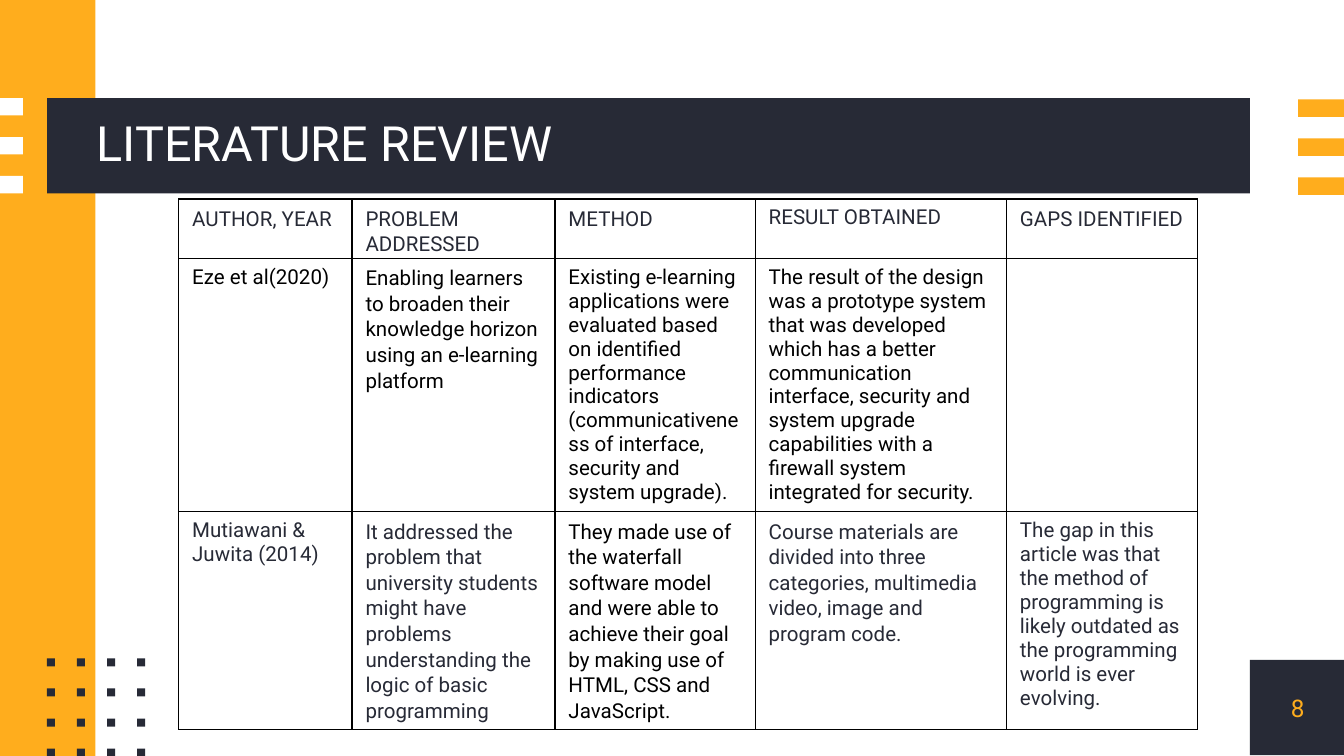
from itertools import product
from typing import NamedTuple

from lxml import etree
from pptx import Presentation
from pptx.dml.color import RGBColor
from pptx.enum import shapes, text
from pptx.oxml.ns import qn
from pptx.util import Inches, Pt

NAVY = RGBColor(0x27, 0x2A, 0x36)
AMBER = RGBColor(0xFF, 0xAD, 0x1D)
WHITE = RGBColor(0xFF, 0xFF, 0xFF)
BLACK = RGBColor(0x00, 0x00, 0x00)
FONT = "Roboto"


class Box(NamedTuple):
    left: float
    top: float
    width: float
    height: float

    def lengths(self) -> list[int]:
        return [Inches(value) for value in self]


class Entry(NamedTuple):
    """Content of one table cell."""
    content: str = ""
    color: RGBColor = NAVY
    spacing: float = 1.07


SLIDE_WIDTH = 10
SLIDE_HEIGHT = SLIDE_WIDTH * 9 / 16
TITLE_BAR = Box(0.35, 0.73, 8.95, 0.71)
NUMBER_BOX = Box(9.3, 4.91, 0.71, 0.71)
TABLE_BOX = Box(1.33, 1.48, 7.58, 4.06)
COLUMN_WIDTHS = [1.29, 1.51, 1.49, 1.87, 1.42]
ROW_HEIGHTS = [0.43, 1.74, 1.58]

ROWS = [
    [
        Entry("AUTHOR, YEAR"),
        Entry("PROBLEM ADDRESSED"),
        Entry("METHOD"),
        Entry("RESULT OBTAINED", spacing=1),
        Entry("GAPS IDENTIFIED"),
    ],
    [
        Entry("Eze et al(2020)", BLACK, 1),
        Entry("Enabling learners to broaden their knowledge horizon using an "
              "e-learning platform", BLACK),
        Entry("Existing e-learning applications were evaluated based on identified "
              "performance indicators (communicativeness of interface, security "
              "and system upgrade).", BLACK, 1),
        Entry("The result of the design was a prototype system that was developed "
              "which has a better communication interface, security and system "
              "upgrade capabilities with a firewall system integrated for security.",
              BLACK, 1),
        Entry(),
    ],
    [
        Entry("Mutiawani & Juwita (2014)", spacing=1),
        Entry("It addressed the problem that university students might have problems "
              "understanding the logic of basic programming"),
        Entry("They made use of the waterfall software model and were able to achieve "
              "their goal by making use of HTML, CSS and JavaScript.", BLACK),
        Entry("Course materials are divided into three categories, multimedia video, "
              "image and program code."),
        Entry("The gap in this article was that the method of programming is likely "
              "outdated as the programming world is ever evolving.", spacing=1),
    ],
]


def add_rectangle(slide, box: Box, color: RGBColor) -> None:
    shape = slide.shapes.add_shape(shapes.MSO_SHAPE.RECTANGLE, *box.lengths())
    shape.shadow.inherit = False
    shape.fill.solid()
    shape.fill.fore_color.rgb = color
    shape.line.fill.background()


def write_text(frame, content: str, *, size: float, color: RGBColor,
               spacing: float = 1, align=text.PP_ALIGN.LEFT) -> None:
    frame.word_wrap = True
    paragraph = frame.paragraphs[0]
    paragraph.alignment = align
    paragraph.line_spacing = spacing
    run = paragraph.add_run()
    run.text = content
    run.font.name = FONT
    run.font.size = Pt(size)
    run.font.color.rgb = color


def add_label(slide, box: Box, content: str, **text_format) -> None:
    """Add a vertically centred text box without insets."""
    frame = slide.shapes.add_textbox(*box.lengths()).text_frame
    frame.margin_left = frame.margin_right = 0
    frame.margin_top = frame.margin_bottom = 0
    frame.vertical_anchor = text.MSO_ANCHOR.MIDDLE
    write_text(frame, content, **text_format)


def set_borders(cell, color: RGBColor, width: float) -> None:
    properties = cell._tc.get_or_add_tcPr()
    for side in ("a:lnL", "a:lnR", "a:lnT", "a:lnB"):
        line = etree.SubElement(properties, qn(side), w=str(Pt(width)))
        fill = etree.SubElement(line, qn("a:solidFill"))
        etree.SubElement(fill, qn("a:srgbClr"), val=str(color))


def add_decoration(slide) -> None:
    add_rectangle(slide, NUMBER_BOX, NAVY)
    add_rectangle(slide, Box(0, 0, 0.71, SLIDE_HEIGHT), AMBER)
    add_rectangle(slide, TITLE_BAR, NAVY)
    for index in range(3):
        top = 0.73 + index * 0.29
        add_rectangle(slide, Box(0, top, 0.17, 0.13), WHITE)
        add_rectangle(slide, Box(9.66, top + 0.01, 0.34, 0.13), AMBER)
    pitch = 0.67 / 3
    for row, column in product(range(4), repeat=2):
        dot = Box(0.35 + column * pitch, 4.9 + row * pitch, 0.06, 0.06)
        add_rectangle(slide, dot, NAVY)


def add_review_table(slide) -> None:
    frame = slide.shapes.add_table(len(ROWS), len(COLUMN_WIDTHS), *TABLE_BOX.lengths())
    table = frame.table
    table.first_row = table.horz_banding = False
    for column, width in zip(table.columns, COLUMN_WIDTHS):
        column.width = Inches(width)
    for row, height, entries in zip(table.rows, ROW_HEIGHTS, ROWS):
        row.height = Inches(height)
        for cell, entry in zip(row.cells, entries):
            cell.margin_bottom = 0
            set_borders(cell, BLACK, 0.75)
            cell.fill.background()
            if entry.content:
                write_text(cell.text_frame, entry.content, size=11,
                           color=entry.color, spacing=entry.spacing)
    frame.height = Inches(TABLE_BOX.height)


def main() -> None:
    presentation = Presentation()
    presentation.slide_width = Inches(SLIDE_WIDTH)
    presentation.slide_height = Inches(SLIDE_HEIGHT)
    slide = presentation.slides.add_slide(presentation.slide_layouts[6])
    add_decoration(slide)
    add_label(slide, Box(0.72, 0.73, 8.58, 0.71), "LITERATURE REVIEW",
              size=26, color=WHITE, spacing=0.9)
    add_label(slide, NUMBER_BOX, "8", size=13, color=AMBER,
              align=text.PP_ALIGN.CENTER)
    add_review_table(slide)
    presentation.save("out.pptx")


if __name__ == "__main__":
    main()
